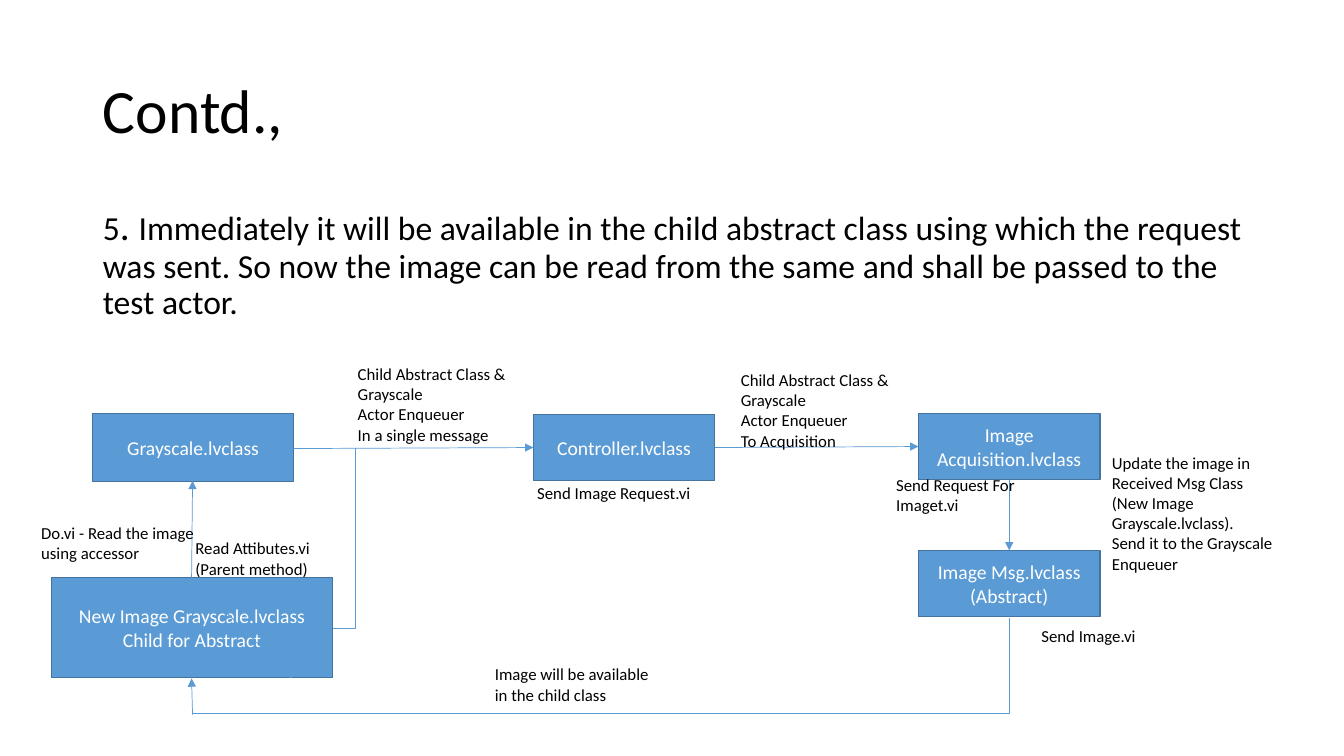
from pptx import Presentation
from pptx.dml.color import RGBColor
from pptx.enum.shapes import MSO_CONNECTOR, MSO_SHAPE
from pptx.enum.text import MSO_ANCHOR, MSO_AUTO_SIZE, PP_ALIGN
from pptx.oxml.ns import qn
from pptx.util import Inches, Pt
from lxml.etree import SubElement

BLUE, EDGE, BLACK, WHITE = "5B9BD5", "43739E", "000000", "FFFFFF"


def paint(fmt, color):
    """Give a fill or font one solid colour."""
    if hasattr(fmt, "solid"):
        fmt.solid()
        fmt = fmt.fore_color
    else:
        fmt = fmt.color
    fmt.rgb = RGBColor.from_string(color)


def write(shape, paras, size=12, color=BLACK, align=PP_ALIGN.LEFT,
          anchor=MSO_ANCHOR.TOP, fit=MSO_AUTO_SIZE.NONE, lead=1.0, before=0):
    """Fill a shape; a paragraph is a string or a list of (text, size) runs."""
    frame = shape.text_frame
    frame.word_wrap = True
    frame.auto_size = fit
    frame.vertical_anchor = anchor
    for i, item in enumerate(paras):
        para = frame.add_paragraph() if i else frame.paragraphs[0]
        para.alignment = align
        para.line_spacing = lead
        para.space_before = Pt(before)
        for text, pts in [(item, size)] if isinstance(item, str) else item:
            run = para.add_run()
            run.text = text
            run.font.name = "Calibri"
            run.font.size = Pt(pts)
            paint(run.font, color)


deck = Presentation()
deck.slide_width, deck.slide_height = Inches(13.33), Inches(7.5)
slide = deck.slides.add_slide(deck.slide_layouts[1])
shapes = slide.shapes

# Title and body
title, body = slide.placeholders
for hold, top, high in [(title, 0.4, 1.45), (body, 2, 4.76)]:
    hold.left, hold.top = Inches(0.92), Inches(top)
    hold.width, hold.height = Inches(11.5), Inches(high)
write(title, ["Contd.,"], size=44, anchor=MSO_ANCHOR.MIDDLE, lead=0.9)
write(body, [[("5", 24), (". ", 28), (
    "Immediately it will be available in the child abstract class using which "
    "the request was sent. So now the image can be read from the same and "
    "shall be passed to the test actor.", 24)]], lead=0.9, before=10)
props = body.text_frame.paragraphs[0]._p.get_or_add_pPr()
props.set("marL", "0")
props.set("indent", "0")
SubElement(props, qn("a:buNone"))

# Class boxes
boxes = [
    (5.29, 4.11, 1.8, 0.66, ["Controller.lvclass"]),
    (9.11, 5.46, 1.8, 0.66, ["Image Msg.lvclass (Abstract)"]),
    (9.11, 4.1, 1.8, 0.66, ["Image Acquisition.lvclass"]),
    (0.92, 4.1, 1.99, 0.68, ["Grayscale.lvclass"]),
    (0.51, 5.73, 2.79, 0.99,
     ["New Image Grayscale.lvclass", "Child for Abstract"]),
]
for *place, lines in boxes:
    box = shapes.add_shape(MSO_SHAPE.RECTANGLE, *map(Inches, place))
    box.shadow.inherit = False
    paint(box.fill, BLUE)
    paint(box.line.fill, EDGE)
    box.line.width = Pt(1)
    write(box, lines, size=14, color=WHITE, align=PP_ALIGN.CENTER,
          anchor=MSO_ANCHOR.MIDDLE)

# Message flow: straight arrows and plain one-bend links
flows = [
    (2.91, 4.45, 5.29, 4.44, "arrow"),
    (3.3, 6.23, 3.52, 4.44, "bend"),
    (7.09, 4.44, 9.11, 4.43, "arrow"),
    (10.01, 4.76, 10.01, 5.46, "arrow"),
    (1.91, 7.08, 10.01, 6.13, "bend"),
    (1.91, 7.09, 1.9, 6.73, "arrow"),
    (1.9, 5.73, 2.9, 6.73, "arrow"),
    (1.9, 5.73, 1.91, 4.77, "arrow"),
]
for *ends, kind in flows:
    style = MSO_CONNECTOR.ELBOW if kind == "bend" else MSO_CONNECTOR.STRAIGHT
    link = shapes.add_connector(style, *map(Inches, ends))
    paint(link.line.fill, BLUE)
    link.line.width = Pt(0.5)
    props = link._element.spPr
    if kind == "bend":
        props.find(qn("a:prstGeom")).set("prst", "bentConnector2")
    else:
        SubElement(props.find(qn("a:ln")), qn("a:tailEnd"), type="triangle")
    SubElement(props, qn("a:effectLst"))

# Notes beside the flow
shared = ["Child Abstract Class & Grayscale", "Actor Enqueuer"]
labels = [
    (3.45, 3.56, 0.91, shared + ["In a single message"]),
    (10.93, 4.44, 1.31,
     ["Update the image in Received Msg Class (New Image Grayscale.lvclass).",
      "Send it to the Grayscale Enqueuer"]),
    (7.25, 3.62, 0.91, shared + ["To Acquisition"]),
    (0.31, 5.14, 0.5, ["Do.vi - Read the image using accessor"]),
    (4.81, 6.54, 0.5, ["Image will be available in the child class"]),
    (5.23, 4.74, 0.3, ["Send Image Request.vi"]),
    (10.23, 6.16, 0.3, ["Send Image.vi"]),
    (1.84, 5.29, 0.5, ["Read Attibutes.vi", "(Parent method)"]),
    (8.79, 4.66, 0.5, ["Send Request For Imaget.vi"]),
]
for left, top, high, lines in labels:
    label = shapes.add_textbox(*map(Inches, (left, top, 1.84, high)))
    write(label, lines, fit=MSO_AUTO_SIZE.SHAPE_TO_FIT_TEXT)

deck.save("out.pptx")
